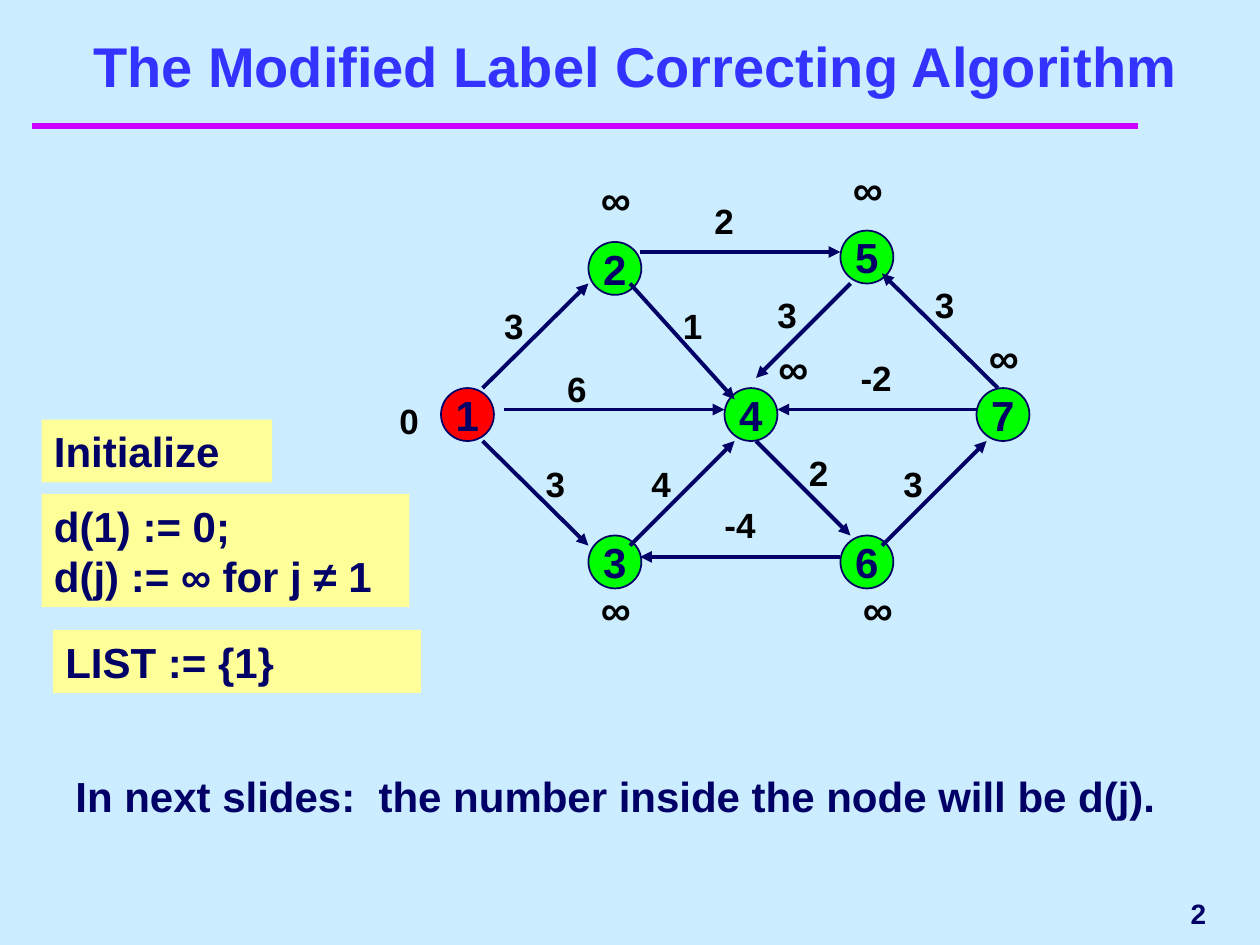
from dataclasses import dataclass

from lxml import etree
from pptx import Presentation
from pptx.dml.color import RGBColor
from pptx.enum.shapes import MSO_CONNECTOR, MSO_SHAPE
from pptx.enum.text import MSO_ANCHOR, PP_ALIGN
from pptx.oxml.ns import qn
from pptx.util import Inches, Pt

STRAIGHT = MSO_CONNECTOR.STRAIGHT
OVAL, RECTANGLE = MSO_SHAPE.OVAL, MSO_SHAPE.RECTANGLE
TOP, MIDDLE, BOTTOM = MSO_ANCHOR.TOP, MSO_ANCHOR.MIDDLE, MSO_ANCHOR.BOTTOM
LEFT, CENTER, RIGHT = PP_ALIGN.LEFT, PP_ALIGN.CENTER, PP_ALIGN.RIGHT


@dataclass(frozen=True)
class Theme:
    """Colours, font and type sizes of the slide."""
    font: str = "Arial"
    background: str = "CCECFF"
    title: str = "3333FF"
    rule: str = "CC00FF"
    ink: str = "000066"
    label: str = "000000"
    note: str = "FFFF99"
    source_node: str = "FF0000"
    node: str = "00FF00"
    title_size: int = 32
    body_size: int = 24
    weight_size: int = 20
    number_size: int = 16


THEME = Theme()
NODE_SIZE = 0.42
NODES = {"1": (0.5, 2.08), "2": (1.67, 0.92), "5": (3.67, 0.83), "4": (2.75, 2.08),
         "3": (1.67, 3.25), "6": (3.67, 3.25), "7": (4.75, 2.08)}
ARCS = [
    ((0.83, 2.08), (1.67, 1.25)), ((2.08, 1), (3.67, 1)),
    ((4.92, 2.08), (4, 1.17)), ((3.75, 1.25), (3, 2)),
    ((1, 2.25), (2.75, 2.25)), ((2, 3.33), (2.83, 2.5)),
    ((3, 2.5), (3.75, 3.25)), ((3.67, 3.42), (2.08, 3.42)),
    ((0.83, 2.5), (1.67, 3.33)), ((2, 1.25), (2.83, 2.17)),
    ((4.75, 2.25), (3.17, 2.25)), ((4, 3.33), (4.83, 2.5)),
]
WEIGHTS = [
    ("3", 1, 1.42), ("2", 2.67, 0.58), ("3", 4.42, 1.25), ("3", 3.17, 1.33),
    ("1", 2.42, 1.42), ("6", 1.5, 1.92), ("-2", 3.83, 1.83), ("3", 4.17, 2.67),
    ("2", 3.42, 2.58), ("-4", 2.75, 3), ("4", 2.17, 2.67), ("3", 1.33, 2.67),
    ("0", 0.17, 2.17),
]
DISTANCES = [(3.67, 0.25), (1.67, 0.33), (4.75, 1.58), (3.75, 3.58), (1.67, 3.58), (3.08, 1.67)]
NOTES = [("Initialize", 0, 0, 1.83, 0.5),
         ("d(1) := 0;\vd(j) := ∞ for j ≠ 1", 0, 0.59, 2.92, 0.9),
         ("LIST := {1}", 0.09, 1.67, 2.92, 0.5)]


def write_text(shape, text, size=THEME.body_size, color=THEME.ink, align=LEFT,
               anchor=TOP, margins=(0.1, 0.05), wrap=True):
    """Fill a shape with one formatted paragraph."""
    frame = shape.text_frame
    frame.word_wrap = wrap
    frame.vertical_anchor = anchor
    frame.margin_left = frame.margin_right = Inches(margins[0])
    frame.margin_top = frame.margin_bottom = Inches(margins[1])
    frame.text = text
    paragraph = frame.paragraphs[0]
    paragraph.alignment = align
    paragraph.space_before = Pt(0)
    for run in paragraph.runs:
        run.font.name = THEME.font
        run.font.size = Pt(size)
        run.font.bold = True
        run.font.color.rgb = RGBColor.from_string(color)


def add_text(slide, text, left, top, width, height, **text_format):
    """Add a text box at the given place in inches."""
    box = slide.shapes.add_textbox(*map(Inches, (left, top, width, height)))
    write_text(box, text, **text_format)


def add_filled(slide, kind, text, box, fill, outline=None, **text_format):
    """Add a filled preset shape with text and an optional outline."""
    shape = slide.shapes.add_shape(kind, *map(Inches, box))
    shape.shadow.inherit = False
    shape.fill.solid()
    shape.fill.fore_color.rgb = RGBColor.from_string(fill)
    if outline:
        shape.line.color.rgb = RGBColor.from_string(outline)
        shape.line.width = Pt(1)
    else:
        shape.line.fill.background()
    write_text(shape, text, **text_format)


def add_line(slide, start, end, color, width, arrow=False):
    """Draw a straight line with an optional arrowhead at its end."""
    connector = slide.shapes.add_connector(STRAIGHT, *map(Inches, (*start, *end)))
    connector.line.color.rgb = RGBColor.from_string(color)
    connector.line.width = Pt(width)
    if arrow:
        outline = connector.line._get_or_add_ln()
        etree.SubElement(outline, qn("a:tailEnd"), type="triangle")
    etree.SubElement(connector._element.spPr, qn("a:effectLst"))


def add_header(slide, left, top, width, height):
    """Place the title and the rule below it."""
    title = slide.shapes.title
    title.left, title.top = Inches(left), Inches(top)
    title.width, title.height = Inches(width), Inches(height)
    write_text(title, "The Modified Label Correcting Algorithm", size=THEME.title_size,
               color=THEME.title, align=CENTER, anchor=BOTTOM)
    add_line(slide, (0.25, 1), (9.03, 1), THEME.rule, 4)


def add_network(slide, left, top):
    """Draw the nodes, arcs, arc weights and distance labels."""
    for name, (x, y) in NODES.items():
        fill = THEME.source_node if name == "1" else THEME.node
        add_filled(slide, OVAL, name, (left + x, top + y, NODE_SIZE, NODE_SIZE), fill,
                   outline=THEME.ink, align=CENTER, anchor=MIDDLE, wrap=False)
    for start, end in ARCS:
        add_line(slide, (left + start[0], top + start[1]),
                 (left + end[0], top + end[1]), THEME.ink, 2.25, arrow=True)
    for weight, x, y in WEIGHTS:
        add_text(slide, weight, left + x, top + y, 0.22 if len(weight) == 1 else 0.5, 0.33,
                 size=THEME.weight_size, color=THEME.label, margins=(0, 0))
    for x, y in DISTANCES:
        add_text(slide, "∞", left + x, top + y, 0.42, 0.5, color=THEME.label)


def add_notes_column(slide, left, top):
    """Place the highlighted initialization steps."""
    for text, x, y, width, height in NOTES:
        add_filled(slide, RECTANGLE, text, (left + x, top + y, width, height), THEME.note)


def add_footer(slide, left, top, width):
    """Place the closing remark and the slide number."""
    add_text(slide, "In next slides:  the number inside the node will be d(j).",
             left, top, width, 0.5)
    add_text(slide, "2", 7.75, 7, 1.92, 0.5, size=THEME.number_size,
             align=RIGHT, anchor=MIDDLE)


def main():
    """Build and save the presentation."""
    presentation = Presentation()
    presentation.slide_width, presentation.slide_height = Inches(10), Inches(7.5)
    slide = presentation.slides.add_slide(presentation.slide_layouts[5])
    slide.background.fill.solid()
    slide.background.fill.fore_color.rgb = RGBColor.from_string(THEME.background)
    add_header(slide, 0.42, 0.25, 9.25, 0.58)
    add_notes_column(slide, 0.33, 3.33)
    add_network(slide, 3, 1)
    add_footer(slide, 0.5, 6.07, 9.08)
    presentation.save("out.pptx")


if __name__ == "__main__":
    main()
